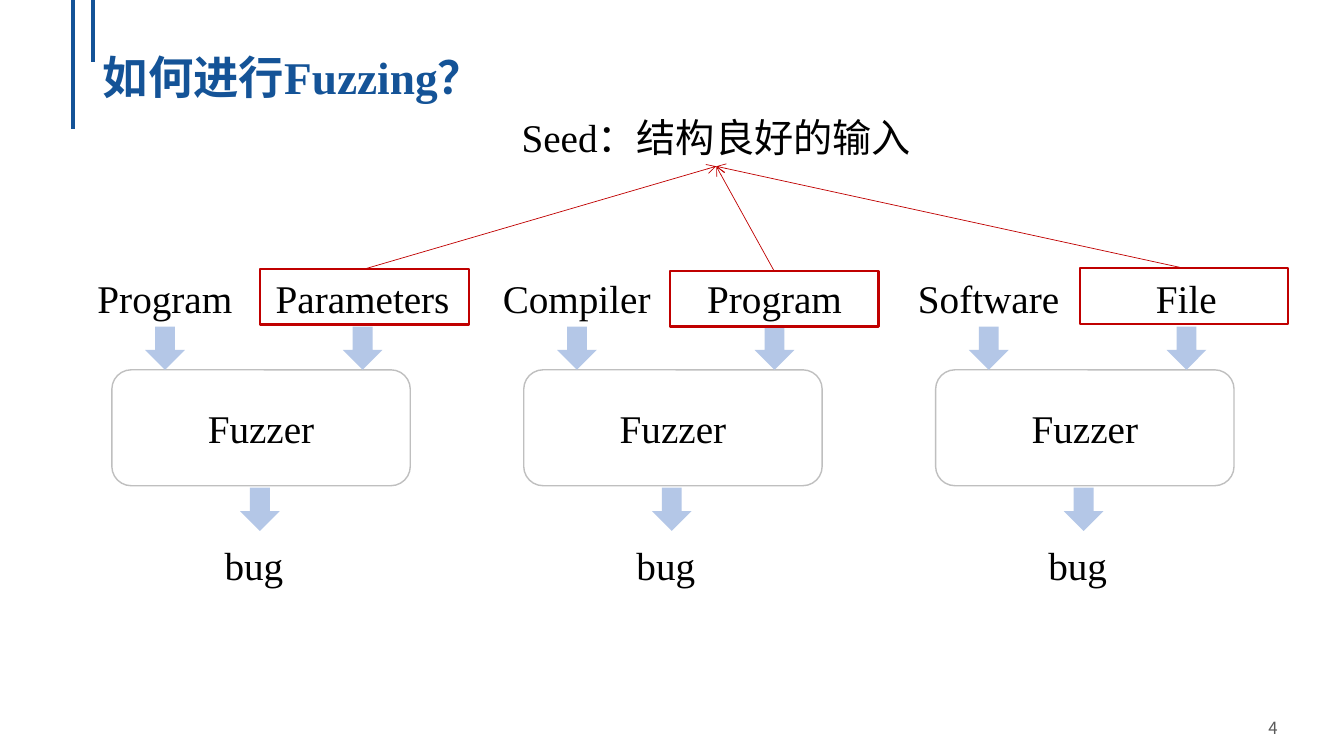
from lxml.etree import SubElement
from pptx import Presentation
from pptx.dml.color import RGBColor
from pptx.enum.shapes import MSO_CONNECTOR, MSO_SHAPE
from pptx.enum.text import MSO_ANCHOR, PP_ALIGN
from pptx.oxml.ns import qn
from pptx.util import Cm, Pt

COLORS = {"blue": "145397", "arrow": "B4C7E7", "border": "BFBFBF",
          "red": "C00000", "text": "000000", "number": "595959"}
LATIN, CJK = "Times New Roman", "Noto Sans CJK SC"
COLUMN_STEP = 10.38
# target, fuzzed input, top of the frame around the input
COLUMNS = [("Program", "Parameters", 6.78),
           ("Compiler", "Program", 6.83),
           ("Software", "File", 6.76)]


def rgb(name):
    return RGBColor.from_string(COLORS[name])


def write(tf, *parts, size=28, font=LATIN, color="text", bold=False,
          align=PP_ALIGN.CENTER, anchor=MSO_ANCHOR.TOP, spacing=None):
    """Put the parts into one paragraph, each part as its own run."""
    tf.word_wrap = True
    tf.vertical_anchor = anchor
    p = tf.paragraphs[0]
    p.alignment = align
    p.line_spacing = spacing
    for text in parts:
        r = p.add_run()
        r.text = text
        r.font.size = Pt(size)
        r.font.name = font
        r.font.bold = bold
        r.font.color.rgb = rgb(color)
        SubElement(r.font._element, qn("a:ea"), typeface=CJK)


def add_text(shapes, box, *parts, **fmt):
    sp = shapes.add_textbox(*map(Cm, box))
    write(sp.text_frame, *parts, **fmt)
    return sp


def add_box(shapes, kind, box, fill=None, line=None, width=1):
    sp = shapes.add_shape(kind, *map(Cm, box))
    sp.shadow.inherit = False
    if fill:
        sp.fill.solid()
        sp.fill.fore_color.rgb = rgb(fill)
    else:
        sp.fill.background()
    if line:
        sp.line.color.rgb = rgb(line)
        sp.line.width = Pt(width)
    else:
        sp.line.fill.background()
    return sp


def add_line(shapes, ends, color, width):
    cxn = shapes.add_connector(MSO_CONNECTOR.STRAIGHT, *map(Cm, ends))
    cxn.line.color.rgb = rgb(color)
    cxn.line.width = Pt(width)
    SubElement(cxn._element.spPr, qn("a:effectLst"))
    return cxn


def add_fuzzer(s, x, target, fuzzed):
    """Draw one column: two inputs, the fuzzer and the bug it finds."""
    shapes = s.shapes.add_group_shape().shapes
    fuzzer = add_box(shapes, MSO_SHAPE.ROUNDED_RECTANGLE,
                     (x + 2.82, 9.32, 7.52, 2.92), line="border")
    write(fuzzer.text_frame, "Fuzzer", anchor=MSO_ANCHOR.MIDDLE)
    for left, top in [(3.66, 8.23), (8.64, 8.23), (6.05, 12.29)]:
        add_box(shapes, MSO_SHAPE.DOWN_ARROW, (x + left, top, 1, 1.09), fill="arrow")
    add_text(shapes, (x + 1.96, 6.78, 4.39, 1.45), target)
    add_text(shapes, (x + 6.45, 6.78, 5.38, 1.45), fuzzed)
    add_text(shapes, (x + 3.71, 13.51, 5.38, 1.45), "bug")


def add_seed_arrow(s, frame, seed):
    cxn = add_line(s.shapes, (0, 0, 1, 1), "red", 0.5)
    cxn.begin_connect(frame, 0)
    cxn.end_connect(seed, 2)
    SubElement(cxn.line._get_or_add_ln(), qn("a:tailEnd"), type="arrow")


def main():
    prs = Presentation()
    prs.slide_width, prs.slide_height = Cm(33.87), Cm(19.05)
    s = prs.slides.add_slide(prs.slide_layouts[6])

    for x, length in [(1.83, 3.25), (2.34, 1.57)]:
        add_line(s.shapes, (x, 0, x, length), "blue", 3)
    add_text(s.shapes, (2.34, 1.24, 23.47, 1.55), "如何进行Fuzzing？", size=32.4,
             color="blue", bold=True, align=PP_ALIGN.LEFT,
             anchor=MSO_ANCHOR.MIDDLE, spacing=0.9)

    for i, (target, fuzzed, _) in enumerate(COLUMNS):
        add_fuzzer(s, i * COLUMN_STEP, target, fuzzed)

    seed = add_text(s.shapes, (12.32, 2.74, 11.46, 1.45), "Seed：", "结构良好的输入")
    for i, (_, _, top) in enumerate(COLUMNS):
        frame = add_box(s.shapes, MSO_SHAPE.RECTANGLE,
                        (6.55 + i * 10.33, top, 5.26, 1.4), line="red", width=1.5)
        add_seed_arrow(s, frame, seed)

    add_text(s.shapes, (30.94, 17.96, 2.29, 0.76), "4", size=12, font=CJK, color="number")
    prs.save("out.pptx")


if __name__ == "__main__":
    main()
